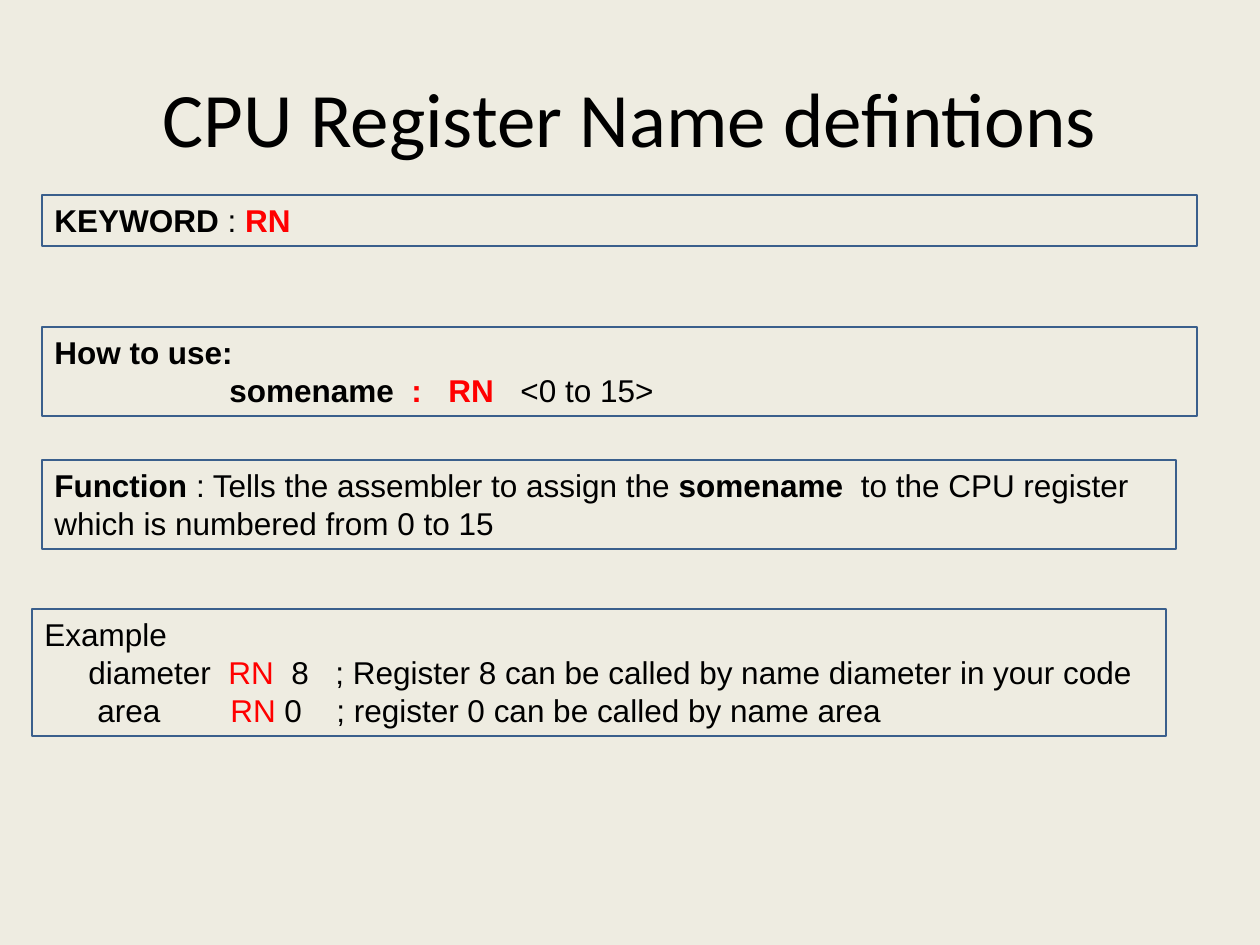
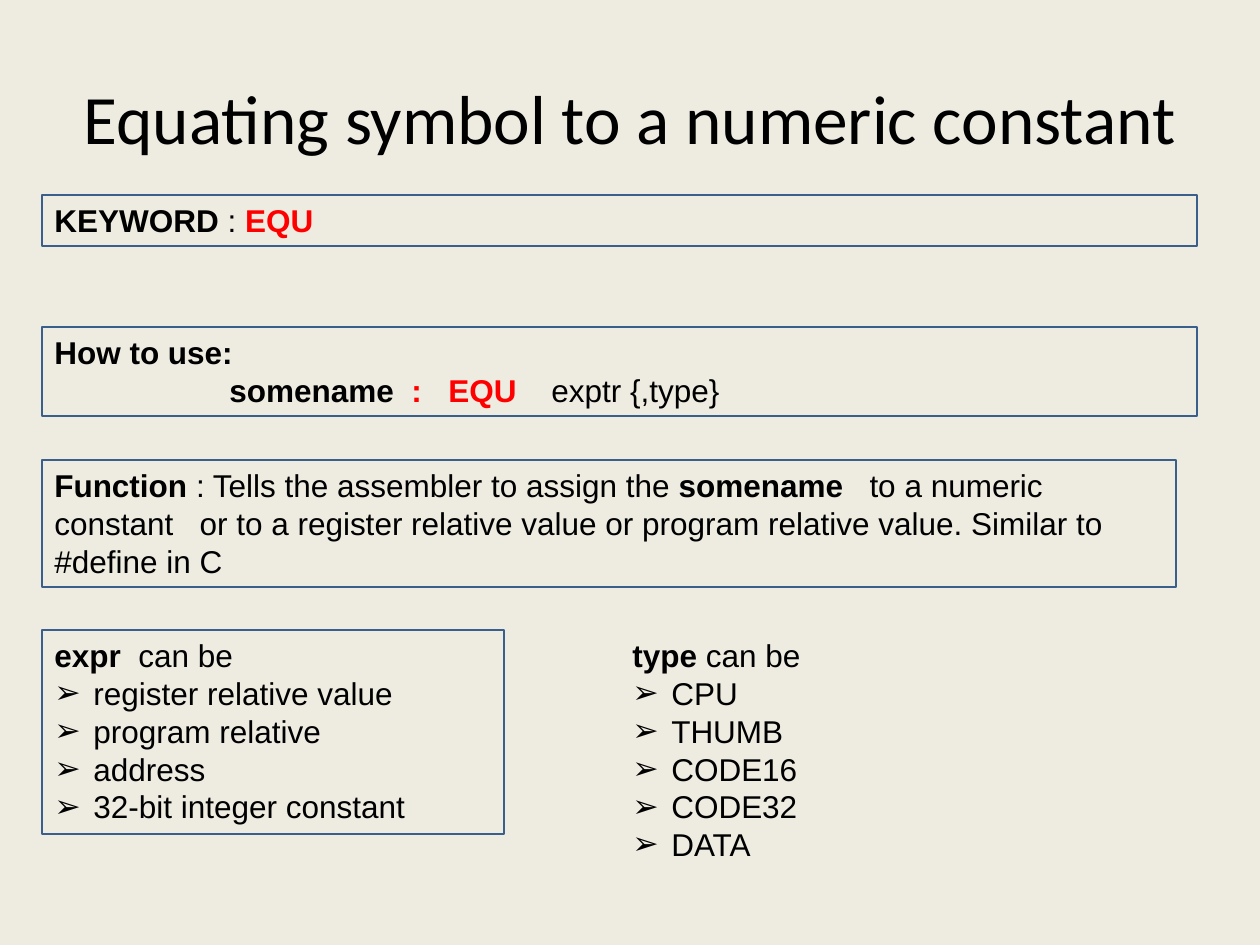
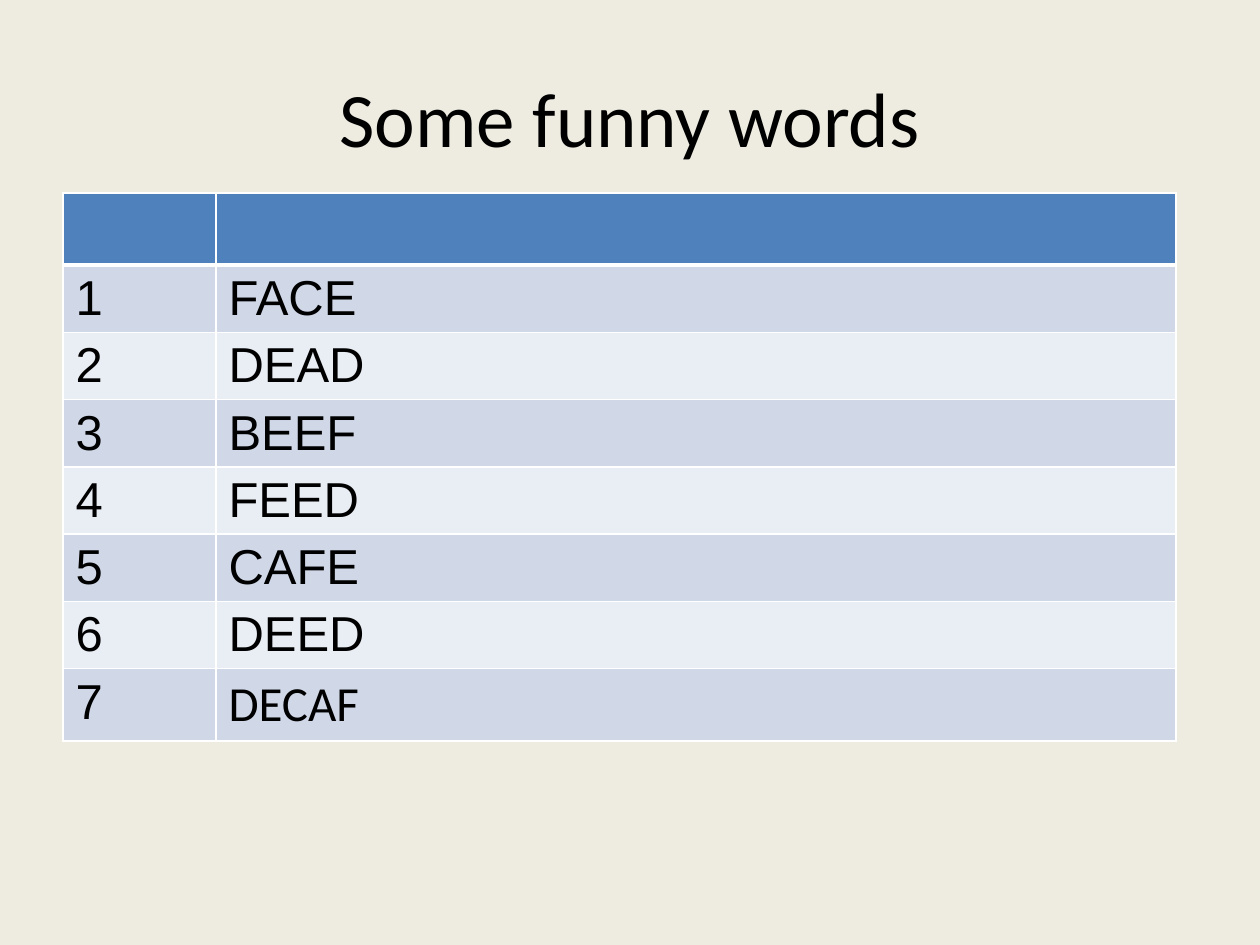
import pptx
import pptx.util
import pptx.dml.color
import pptx.enum.shapes
import pptx.enum.text
import pptx.oxml.ns
from lxml import etree

SCALE = 914400 / 126
COLORS = {
    "background": "EEECE1",
    "text": "000000",
    "keyword": "FF0000",
    "frame": "3A5F8C",
    "header": "4F81BD",
    "odd": "D0D8E8",
    "even": "E9EDF4",
    "border": "FFFFFF",
}
STYLES = {
    "plain": {"color": "text", "bold": False},
    "bold": {"color": "text", "bold": True},
    "red": {"color": "keyword", "bold": False},
    "keyword": {"color": "keyword", "bold": True},
}
BULLET_INDENT = 39
WORDS = ["FACE", "DEAD", "BEEF", "FEED", "CAFE", "DEED", "DECAF"]


def px(n):
    return pptx.util.Emu(round(n * SCALE))


def rgb(name):
    return pptx.dml.color.RGBColor.from_string(COLORS[name])


def set_attributes(obj, values):
    for name, value in values.items():
        setattr(obj, name, value)


def add_xml(parent, tag, **attributes):
    return etree.SubElement(parent, pptx.oxml.ns.qn(tag), attributes)


def add_run(p, text, style="plain", size=18, font="Arial"):
    r = p.add_run()
    r.text = text
    set_attributes(r.font, {"name": font, "size": pptx.util.Pt(size),
                            "bold": STYLES[style]["bold"]})
    r.font.color.rgb = rgb(STYLES[style]["color"])


def add_tabs(p, stops):
    tabs = add_xml(p._p.get_or_add_pPr(), "a:tabLst")
    for stop in stops:
        add_xml(tabs, "a:tab", pos=str(px(stop)), algn="l")


def add_bullet(p):
    pPr = p._p.get_or_add_pPr()
    pPr.set("marL", str(px(BULLET_INDENT)))
    pPr.set("indent", str(-px(BULLET_INDENT)))
    add_xml(pPr, "a:buFont", typeface="Arial")
    add_xml(pPr, "a:buChar", char="➢")


def add_box(s, rect, paragraphs, framed=True):
    place = [px(n) for n in rect]
    if framed:
        sp = s.shapes.add_shape(pptx.enum.shapes.MSO_SHAPE.RECTANGLE, *place)
        sp.shadow.inherit = False
        sp.fill.background()
        sp.line.color.rgb = rgb("frame")
        sp.line.width = pptx.util.Pt(0.75)
    else:
        sp = s.shapes.add_textbox(*place)
    tf = sp.text_frame
    set_attributes(tf, {
        "word_wrap": True,
        "vertical_anchor": pptx.enum.text.MSO_ANCHOR.TOP,
        "auto_size": pptx.enum.text.MSO_AUTO_SIZE.SHAPE_TO_FIT_TEXT,
    })
    for i, (runs, stops) in enumerate(paragraphs):
        p = tf.add_paragraph() if i else tf.paragraphs[0]
        p.alignment = pptx.enum.text.PP_ALIGN.LEFT
        for run in runs:
            add_run(p, *run)
        if stops:
            add_tabs(p, stops)
    return tf


def add_list_box(s, rect, heading, items, framed=True):
    tf = add_box(s, rect, [(heading, ())], framed)
    for item in items:
        p = tf.add_paragraph()
        p.alignment = pptx.enum.text.PP_ALIGN.LEFT
        add_run(p, item)
        add_bullet(p)


def add_slide(prs, title, size=44):
    s = prs.slides.add_slide(prs.slide_layouts[5])
    sp = s.shapes.title
    set_attributes(sp, {"left": px(63), "top": px(38),
                        "width": px(1134), "height": px(157)})
    tf = sp.text_frame
    set_attributes(tf, {
        "word_wrap": True,
        "vertical_anchor": pptx.enum.text.MSO_ANCHOR.MIDDLE,
        "auto_size": pptx.enum.text.MSO_AUTO_SIZE.NONE,
    })
    p = tf.paragraphs[0]
    p.alignment = pptx.enum.text.PP_ALIGN.CENTER
    add_run(p, title, "plain", size, "Calibri")
    return s


def add_directive(s, keyword, operand, operand_stop, function_height, purpose):
    add_box(s, (42, 195, 1155, 51), [
        ([("KEYWORD", "bold"), (" : ",), (keyword, "keyword")], ()),
    ])
    add_box(s, (42, 327, 1155, 89), [
        ([("How to use:", "bold")], ()),
        ([("\tsomename", "bold"), (f"\t:\t{keyword}", "keyword"),
          (f"\t{operand}",)], (175, 357, 394, operand_stop)),
    ])
    add_box(s, (42, 460, 1134, function_height), [
        ([("Function", "bold"), (" : Tells the assembler to assign the ",),
          ("somename", "bold"), (purpose,)], ()),
    ])


def add_border(cell, side, width):
    ln = add_xml(cell._tc.get_or_add_tcPr(), f"a:ln{side}",
                 w=str(pptx.util.Pt(width)))
    add_xml(add_xml(ln, "a:solidFill"), "a:srgbClr", val=COLORS["border"])


def format_cell(cell, row):
    for side in "LRTB":
        heavy = (row, side) in [(0, "B"), (1, "T")]
        add_border(cell, side, 3 if heavy else 1)
    cell.fill.solid()
    name = "header" if row == 0 else "odd" if row % 2 else "even"
    cell.fill.fore_color.rgb = rgb(name)


def add_word_table(s, words):
    widths = [153, 960]
    heights = [72] + [67] * (len(words) - 1) + [72]
    table = s.shapes.add_table(len(heights), len(widths), px(63), px(193),
                               px(sum(widths)), px(sum(heights))).table
    for column, width in zip(table.columns, widths):
        column.width = px(width)
    for i, height in enumerate(heights):
        table.rows[i].height = px(height)
        for cell in table.rows[i].cells:
            format_cell(cell, i)
    for i, word in enumerate(words, 1):
        font = "Calibri" if i == len(words) else "Arial"
        add_run(table.cell(i, 0).text_frame.paragraphs[0], str(i), size=28)
        add_run(table.cell(i, 1).text_frame.paragraphs[0], word,
                size=28, font=font)


def build_register_names(prs):
    s = add_slide(prs, "CPU Register Name defintions")
    add_directive(s, "RN", "<0 to 15>", 466, 89,
                  "  to the CPU register which is numbered from 0 to 15")
    add_box(s, (32, 609, 1134, 127), [
        ([("Example",)], ()),
        ([("\tdiameter",), ("\tRN", "red"),
          ("\t8\t; Register 8 can be called by name diameter in your code",)],
         (44, 184, 247, 291)),
        ([("\tarea",), ("\tRN", "red"),
          ("\t0\t; register 0 can be called by name area",)],
         (53, 186, 240, 292)),
    ])


def build_symbols(prs):
    s = add_slide(prs, "Equating symbol to a numeric constant", 39.6)
    add_directive(s, "EQU", "exptr {,type}", 497, 127,
                  "   to a numeric constant   or to a register relative value "
                  "or program relative value. Similar to #define in C")
    add_list_box(s, (42, 630, 462, 204),
                 [("expr", "bold"), ("  can be",)],
                 ["register relative value", "program relative", "address",
                  "32-bit integer constant"])
    add_list_box(s, (620, 630, 494, 242),
                 [("type", "bold"), (" can be",)],
                 ["CPU", "THUMB", "CODE16", "CODE32", "DATA"], framed=False)


def build_words(prs):
    s = add_slide(prs, "Some funny words")
    add_word_table(s, WORDS)


def main():
    prs = pptx.Presentation()
    set_attributes(prs, {"slide_width": px(1260), "slide_height": px(945)})
    fill = prs.slide_master.background.fill
    fill.solid()
    fill.fore_color.rgb = rgb("background")
    build_register_names(prs)
    build_symbols(prs)
    build_words(prs)
    prs.save("out.pptx")


if __name__ == "__main__":
    main()
